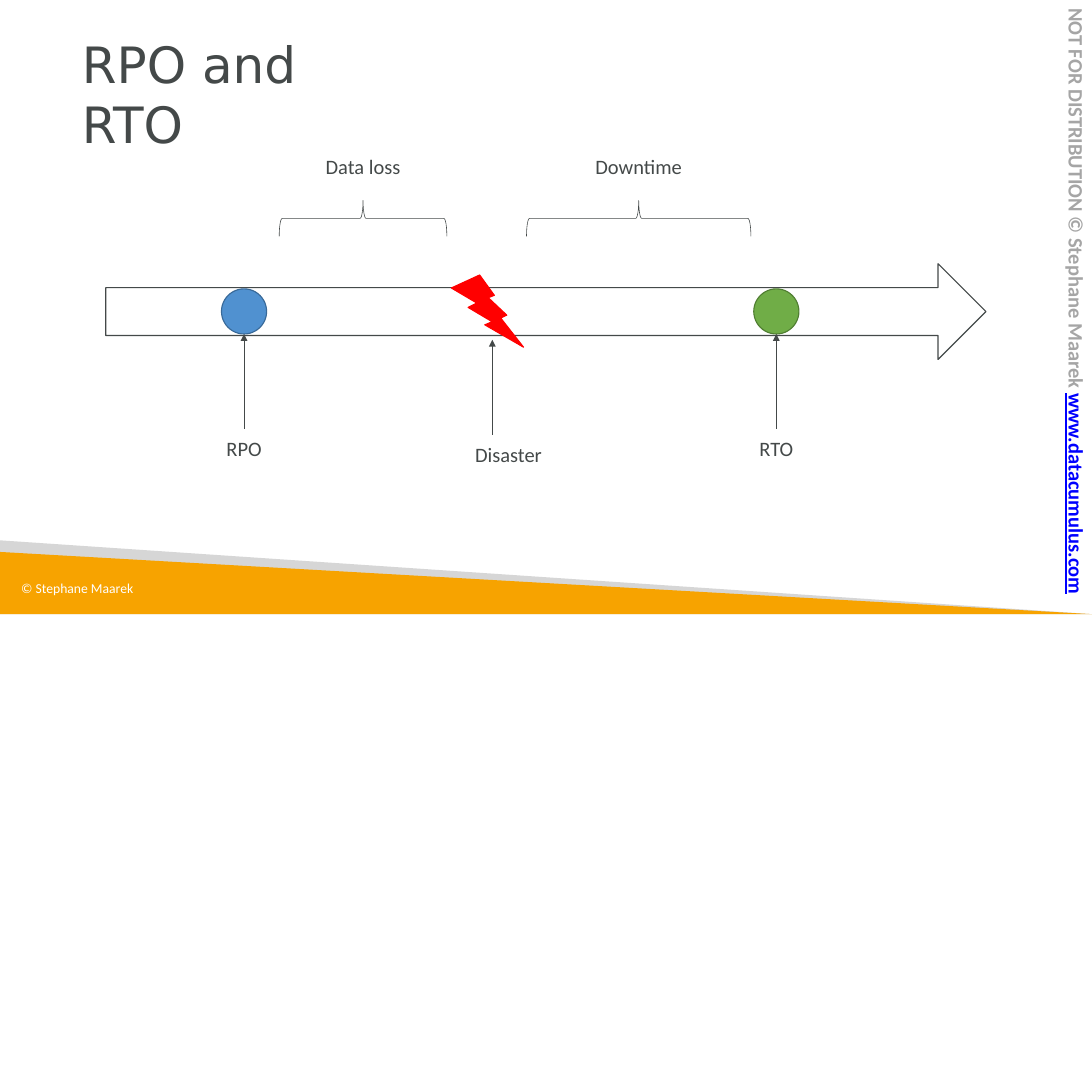
from lxml import etree
from pptx import Presentation
from pptx.dml.color import RGBColor
from pptx.enum.shapes import MSO_CONNECTOR, MSO_SHAPE
from pptx.enum.text import MSO_ANCHOR, MSO_AUTO_SIZE, PP_ALIGN
from pptx.oxml.ns import qn
from pptx.util import Cm, Pt

ARROW, OVAL, BOLT = MSO_SHAPE.RIGHT_ARROW, MSO_SHAPE.OVAL, MSO_SHAPE.LIGHTNING_BOLT
BRACE, WEDGE = MSO_SHAPE.LEFT_BRACE, MSO_SHAPE.RIGHT_TRIANGLE
STRAIGHT = MSO_CONNECTOR.STRAIGHT
LEFT, CENTER = PP_ALIGN.LEFT, PP_ALIGN.CENTER
TOP, NO_FIT = MSO_ANCHOR.TOP, MSO_AUTO_SIZE.NONE

SIDE = 33.87
INK = "444949"
TITLE = "RPO and RTO"
TITLE_FMT = {"name": "DejaVu Sans", "size": Pt(44), "bold": False}
LABEL_FMT = {"name": "Calibri", "size": Pt(18)}
FOOTER_FMT = {"name": "Calibri", "size": Pt(12)}
NOTICE_FMT = {"name": "Calibri", "size": Pt(18), "bold": True}
LINK_FMT = {**NOTICE_FMT, "underline": True}

FOOTER = [("© Stephane Maarek", "FFFFFF", FOOTER_FMT)]
NOTICE = [
    ("NOT FOR DISTRIBUTION © Stephane Maarek ", "A5A5A5", NOTICE_FMT),
    ("www.datacumulus.com", "0000FF", LINK_FMT),
]
WEDGES = [(16.76, "D6D6D6"), (17.12, "F7A300")]
WEDGE_BASE = 19.05
SPANS = [("Data loss", 8.66, 5.2, 2.39), ("Downtime", 16.33, 6.96, 2.77)]
SPAN_LABEL_TOP, BRACE_TOP, BRACE_H = 4.75, 6.22, 1.11
EVENTS = [
    ("RPO", 7.57, 10.36, 7.57, 1.17),
    ("Disaster", 15.27, 10.54, 15.77, 2.13),
    ("RTO", 24.08, 10.36, 24.08, 1.12),
]
POINTER_H, LABEL_GAP, LABEL_H = 2.94, 3.15, 0.84
TIMELINE = (3.28, 8.18, 27.3, 2.97)
MARKERS = [
    (OVAL, 6.87, 8.96, 1.4, "5091D0", "386998"),
    (BOLT, 14, 8.53, 2.24, "FF0000", "FF0000"),
    (OVAL, 23.38, 8.96, 1.4, "70AD47", "507E32"),
]


def color(value):
    return RGBColor.from_string(value)


def add_shape(slide, kind, box, fill=None, line=None, width=1):
    sp = slide.shapes.add_shape(kind, *map(Cm, box))
    sp.shadow.inherit = False
    if fill:
        sp.fill.solid()
        sp.fill.fore_color.rgb = color(fill)
    else:
        sp.fill.background()
    if line:
        sp.line.color.rgb = color(line)
        sp.line.width = Pt(width)
    else:
        sp.line.fill.background()
    return sp


def write(tf, runs, align=LEFT, wrap=False):
    frame = {
        "word_wrap": wrap, "auto_size": NO_FIT, "vertical_anchor": TOP,
        "margin_left": 0, "margin_right": 0, "margin_top": Cm(0.03), "margin_bottom": 0,
    }
    for key, value in frame.items():
        setattr(tf, key, value)
    p = tf.paragraphs[0]
    p.alignment = align
    for text, ink, fmt in runs:
        r = p.add_run()
        r.text = text
        r.font.color.rgb = color(ink)
        for key, value in fmt.items():
            setattr(r.font, key, value)


def add_text(slide, box, runs, align=LEFT):
    sp = slide.shapes.add_textbox(*map(Cm, box))
    write(sp.text_frame, runs, align)
    return sp


def add_label(slide, text, cx, top, width):
    box = (cx - width / 2, top, width, LABEL_H)
    add_text(slide, box, [(text, INK, LABEL_FMT)], CENTER)


def add_pointer(slide, x, tip):
    cxn = slide.shapes.add_connector(STRAIGHT, Cm(x), Cm(tip + POINTER_H), Cm(x), Cm(tip))
    cxn.line.color.rgb = color(INK)
    cxn.line.width = Pt(0.5)
    etree.SubElement(cxn.line._get_or_add_ln(), qn("a:tailEnd"), type="triangle")
    etree.SubElement(cxn._element.spPr, qn("a:effectLst"))


def main():
    prs = Presentation()
    prs.slide_width = prs.slide_height = Cm(SIDE)
    slide = prs.slides.add_slide(prs.slide_layouts[5])

    title = slide.shapes.title
    title.left, title.top, title.width, title.height = map(Cm, (2.54, 1.02, 8.99, 1.93))
    write(title.text_frame, [(TITLE, INK, TITLE_FMT)], wrap=True)

    for top, fill in WEDGES:
        add_shape(slide, WEDGE, (0, top, SIDE, WEDGE_BASE - top), fill)
    notice = add_text(slide, (32.94, 0.23, 0.84, 18.21), NOTICE)
    notice.text_frame._txBody.bodyPr.set("vert", "vert")

    add_shape(slide, ARROW, TIMELINE, line=INK)
    for kind, left, top, size, fill, line in MARKERS:
        add_shape(slide, kind, (left, top, size, size), fill, line)

    for text, x, tip, label_x, width in EVENTS:
        add_pointer(slide, x, tip)
        add_label(slide, text, label_x, tip + LABEL_GAP, width)

    for text, left, span, width in SPANS:
        cx, cy = left + span / 2, BRACE_TOP + BRACE_H / 2
        box = (cx - BRACE_H / 2, cy - span / 2, BRACE_H, span)
        add_shape(slide, BRACE, box, line=INK, width=0.5).rotation = 90
        add_label(slide, text, cx, SPAN_LABEL_TOP, width)

    add_text(slide, (0.66, 17.96, 3.56, 0.58), FOOTER)
    prs.save("out.pptx")


if __name__ == "__main__":
    main()
